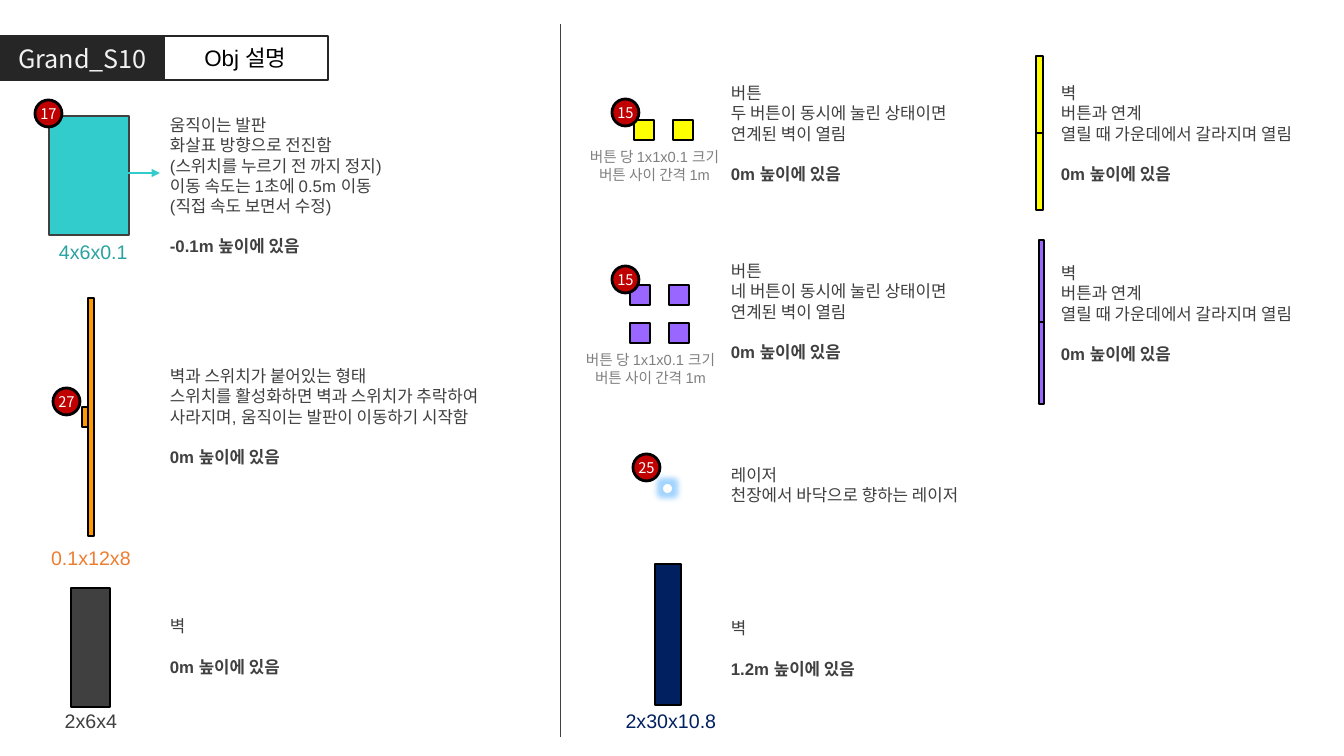
import pptx
import pptx.util
import pptx.dml.color
import pptx.enum.shapes
import pptx.enum.text
import pptx.oxml
import pptx.oxml.ns

RGB = pptx.dml.color.RGBColor
SHAPE = pptx.enum.shapes.MSO_SHAPE
ALIGN = pptx.enum.text.PP_ALIGN
ANCHOR = pptx.enum.text.MSO_ANCHOR

BLACK, WHITE = RGB(0, 0, 0), RGB(255, 255, 255)
INK, CHARCOAL, OFF_WHITE = RGB(0x26, 0x26, 0x26), RGB(0x40, 0x40, 0x40), RGB(0xF2, 0xF2, 0xF2)
GRAY, RED, NAVY = RGB(0x80, 0x80, 0x80), RGB(0xC0, 0, 0), RGB(0, 0x20, 0x60)
TEAL, DARK_TEAL = RGB(0x33, 0xCC, 0xCC), RGB(0x28, 0xA3, 0xA0)
ORANGE, DARK_ORANGE = RGB(0xFF, 0x99, 0), RGB(0xED, 0x7D, 0x31)
YELLOW, PURPLE = RGB(0xFF, 0xFF, 0), RGB(0x99, 0x66, 0xFF)

NAMESPACE = pptx.oxml.ns.nsdecls("a")
GLOW = (f'<a:glow {NAMESPACE} rad="100000"><a:srgbClr val="66B8FF">'
        '<a:alpha val="60000"/></a:srgbClr></a:glow>')


def px(pixels):
    """Turn pixels into EMU."""
    return pptx.util.Emu(round(pixels * 914400 / 100.8))


class Board:
    """Holds the style and the slide being drawn."""
    font, badge_font = "Arial", "Noto Sans CJK KR"
    body, label_size, small = 12, 14, 10.5
    blank_line = 14.4

    def __init__(self, slide):
        """Keep the slide to draw on."""
        self.slide = slide

    def fill_text(self, frame, lines, size, color, align=ALIGN.LEFT, font=None):
        """Fill a text frame with one paragraph per line."""
        frame.text = "\n".join(lines)
        for paragraph in frame.paragraphs:
            paragraph.alignment = align
            paragraph.font.name = font or self.font
            paragraph.font.size = pptx.util.Pt(size)
            paragraph.font.color.rgb = color

    def paint(self, shape, fill, line=None, width=1):
        """Set the fill and outline of a shape."""
        if fill is None:
            shape.fill.background()
        else:
            shape.fill.solid()
            shape.fill.fore_color.rgb = fill
        if line is None:
            shape.line.fill.background()
        else:
            shape.line.color.rgb = line
            shape.line.width = pptx.util.Pt(width)

    def shape(self, x, y, w, h, fill, line=BLACK, width=1, kind=SHAPE.RECTANGLE):
        """Add a preset shape without shadow."""
        shape = self.slide.shapes.add_shape(kind, px(x), px(y), px(w), px(h))
        shape.shadow.inherit = False
        self.paint(shape, fill, line, width)
        return shape

    def title(self, text, x, y, w, h):
        """Move and format the title placeholder."""
        title = self.slide.shapes.title
        title.left, title.top, title.width, title.height = px(x), px(y), px(w), px(h)
        self.paint(title, INK)
        title.text_frame.auto_size = pptx.enum.text.MSO_AUTO_SIZE.NONE
        title.text_frame.vertical_anchor = ANCHOR.MIDDLE
        self.fill_text(title.text_frame, [text], 18, OFF_WHITE, ALIGN.CENTER, self.badge_font)

    def subtitle(self, text, x, y, w, h):
        """Add the outlined box beside the title."""
        box = self.shape(x, y, w, h, None, INK, 1.5)
        box.text_frame.vertical_anchor = ANCHOR.MIDDLE
        self.fill_text(box.text_frame, [text], 16, BLACK, ALIGN.CENTER)

    def badge(self, number, x, y):
        """Add a numbered red circle."""
        circle = self.shape(x, y, 27, 27, RED, BLACK, 2, SHAPE.OVAL)
        frame = circle.text_frame
        frame.margin_left = frame.margin_right = frame.margin_top = frame.margin_bottom = 0
        frame.word_wrap = False
        frame.vertical_anchor = ANCHOR.MIDDLE
        self.fill_text(frame, [number], self.small, WHITE, ALIGN.CENTER, self.badge_font)

    def text(self, lines, x, y, w, h, size, color, align=ALIGN.LEFT):
        """Add a wrapping text box."""
        frame = self.slide.shapes.add_textbox(px(x), px(y), px(w), px(h)).text_frame
        frame.word_wrap = True
        self.fill_text(frame, lines, size, color, align)
        return frame

    def description(self, lines, x, y, w, h, height_note=None):
        """Add a description, closed by a bold note on the object's height."""
        closing = [f"{height_note} 높이에 있음"] if height_note else []
        frame = self.text(lines + closing, x, y, w, h, self.body, CHARCOAL)
        if height_note:
            frame.paragraphs[-1].font.bold = True
            frame.paragraphs[-1].space_before = pptx.util.Pt(self.blank_line)

    def dimensions(self, text, x, y, color, align=ALIGN.CENTER):
        """Add the coloured size label below an object."""
        self.text([text], x, y, 112, 34, self.label_size, color, align)

    def line(self, x1, y1, x2, y2, color, width, arrow=False):
        """Add a straight line, with an arrowhead if asked."""
        line = self.slide.shapes.add_connector(
            pptx.enum.shapes.MSO_CONNECTOR.STRAIGHT, px(x1), px(y1), px(x2), px(y2))
        line.line.color.rgb = color
        line.line.width = pptx.util.Pt(width)
        if arrow:
            line.line._get_or_add_ln().append(
                pptx.oxml.parse_xml(f'<a:tailEnd {NAMESPACE} type="triangle"/>'))
        line._element.spPr.append(pptx.oxml.parse_xml(f"<a:effectLst {NAMESPACE}/>"))

    def buttons(self, x, y, rows, color):
        """Add rows of two square buttons with the note on their size."""
        for row in range(rows):
            for column in range(2):
                self.shape(x + 39 * column, y + 38 * row, 20, 20, color)
        self.text(["버튼 당 1x1x0.1 크기", "버튼 사이 간격 1m"], x - 59, y + 23 + 38 * (rows - 1),
                  159, 45, self.small, GRAY, ALIGN.CENTER)

    def split_wall(self, x, y, w, half, color, text_y):
        """Add a wall in two halves with its description."""
        for part in range(2):
            self.shape(x, y + half * part, w, half, color)
        self.description(["벽", "버튼과 연계", "열릴 때 가운데에서 갈라지며 열림"],
                         1051, text_y, 278, 112, "0m")

    def laser(self, x, y, size):
        """Add a white dot with a blue glow."""
        dot = self.shape(x, y, size, size, WHITE, None, kind=SHAPE.OVAL)
        effects = dot._element.spPr.find(pptx.oxml.ns.qn("a:effectLst"))
        effects.append(pptx.oxml.parse_xml(GLOW))


deck = pptx.Presentation()
deck.slide_width, deck.slide_height = px(1344), px(756)
board = Board(deck.slides.add_slide(deck.slide_layouts[5]))

board.title("Grand_S10", 0, 35, 165, 46)
board.subtitle("Obj 설명", 163, 36, 165, 44)
board.line(561, 24, 561, 737, CHARCOAL, 0.75)

# Moving platform
board.shape(49, 116, 80, 119, TEAL, CHARCOAL, 2)
board.line(128, 173, 160, 173, TEAL, 1.5, arrow=True)
board.badge("17", 35, 100)
board.dimensions("4x6x0.1", 49, 235, DARK_TEAL, ALIGN.LEFT)
board.description(["움직이는 발판", "화살표 방향으로 전진함", "(스위치를 누르기 전 까지 정지)",
                   "이동 속도는 1초에 0.5m 이동", "(직접 속도 보면서 수정)"],
                  160, 110, 246, 152, "-0.1m")

# Wall with switch
board.shape(82, 407, 6, 20, ORANGE)
board.shape(88, 298, 6, 238, ORANGE)
board.badge("27", 53, 388)
board.dimensions("0.1x12x8", 35, 541, DARK_ORANGE)
board.description(["벽과 스위치가 붙어있는 형태",
                   "스위치를 활성화하면 벽과 스위치가 추락하여 사라지며, 움직이는 발판이 이동하기 시작함"],
                  160, 361, 366, 112, "0m")

# Plain walls
for x, y, w, h, color, size, label_x, text_x, text_y, height_note in (
        (71, 588, 39, 119, CHARCOAL, "2x6x4", 35, 160, 611, "0m"),
        (655, 564, 26, 141, NAVY, "2x30x10.8", 615, 721, 613, "1.2m")):
    board.shape(x, y, w, h, color)
    board.dimensions(size, label_x, 704, color)
    board.description(["벽"], text_x, text_y, 300, 72, height_note)

# Two buttons and their wall
board.buttons(634, 120, 1, YELLOW)
board.badge("15", 612, 99)
board.description(["버튼", "두 버튼이 동시에 눌린 상태이면", "연계된 벽이 열림"],
                  721, 78, 265, 112, "0m")
board.split_wall(1036, 56, 7, 77, YELLOW, 78)

# Four buttons and their wall
board.buttons(630, 285, 2, PURPLE)
board.badge("15", 612, 266)
board.description(["버튼", "네 버튼이 동시에 눌린 상태이면 연계된 벽이 열림"],
                  721, 256, 265, 112, "0m")
board.split_wall(1039, 240, 5, 82, PURPLE, 258)

# Laser
board.laser(663, 484, 9)
board.badge("25", 633, 454)
board.description(["레이저", "천장에서 바닥으로 향하는 레이저"], 721, 460, 300, 50)

deck.save("out.pptx")
